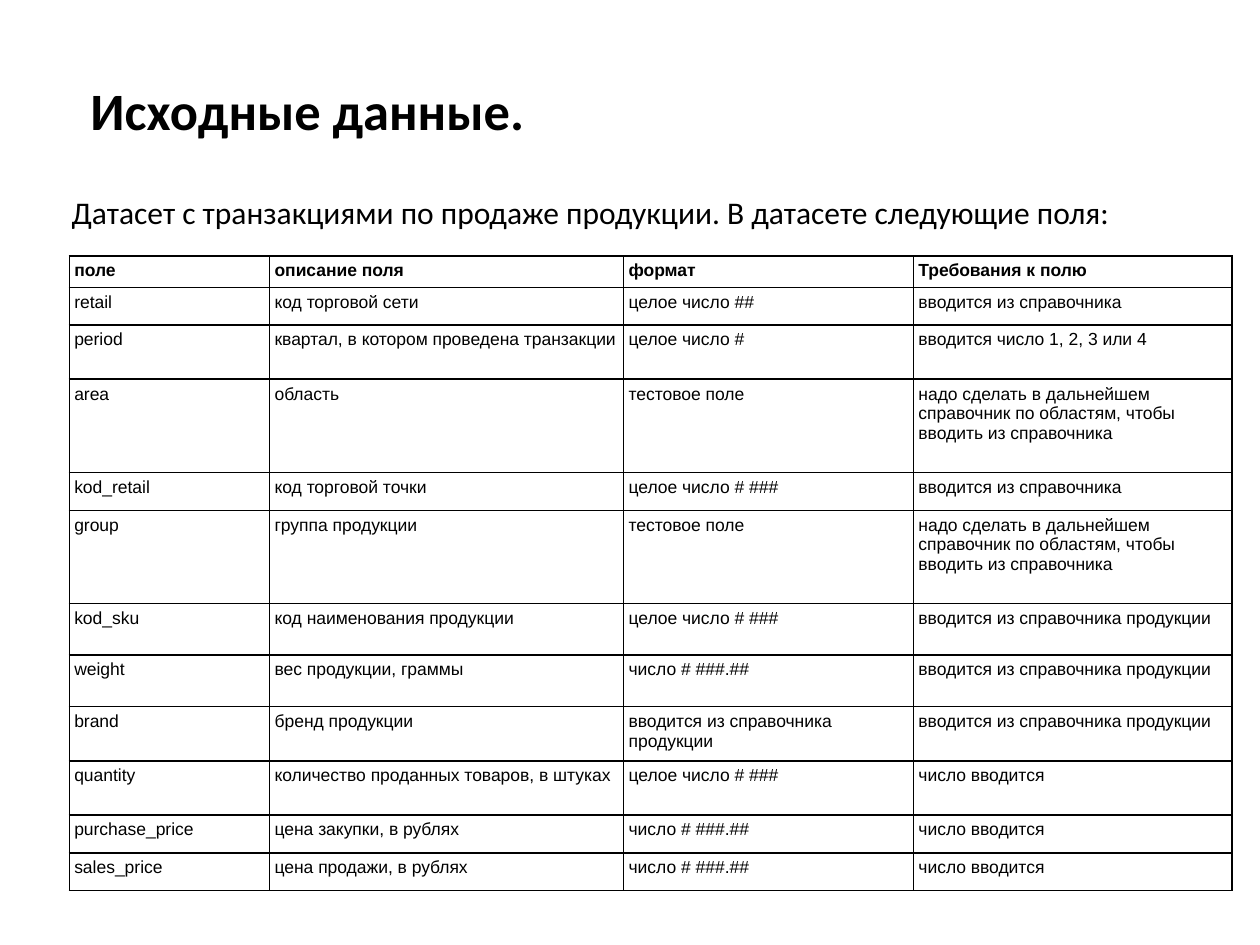
from lxml.etree import SubElement
from pptx import Presentation
from pptx.dml.color import RGBColor
from pptx.enum.text import MSO_ANCHOR
from pptx.oxml.ns import qn
from pptx.util import Inches, Pt

COLORS = {"ink": "000000"}
BY_DIRECTORY = "вводится из справочника"
BY_PRODUCTS = "вводится из справочника продукции"
NEEDS_DIRECTORY = "надо сделать в дальнейшем справочник по областям, чтобы вводить из справочника"
NUMBER_ENTERED = "число вводится"
TEXT_FIELD = "тестовое поле"
INTEGER = "целое число # ###"
DECIMAL = "число # ###.##"

COLUMN_WIDTHS = [1.59, 2.81, 2.3, 2.53]
FIELDS = [
    (0.25, "поле", "описание поля", "формат", "Требования к полю"),
    (0.3, "retail", "код торговой сети", "целое число ##", BY_DIRECTORY),
    (0.43, "period", "квартал, в котором проведена транзакции", "целое число #",
     "вводится число 1, 2, 3 или 4"),
    (0.74, "area", "область", TEXT_FIELD, NEEDS_DIRECTORY),
    (0.3, "kod_retail", "код торговой точки", INTEGER, BY_DIRECTORY),
    (0.74, "group", "группа продукции", TEXT_FIELD, NEEDS_DIRECTORY),
    (0.41, "kod_sku", "код наименования продукции", INTEGER, BY_PRODUCTS),
    (0.41, "weight", "вес продукции, граммы", DECIMAL, BY_PRODUCTS),
    (0.43, "brand", "бренд продукции", BY_PRODUCTS, BY_PRODUCTS),
    (0.43, "quantity", "количество проданных товаров, в штуках", INTEGER, NUMBER_ENTERED),
    (0.3, "purchase_price", "цена закупки, в рублях", DECIMAL, NUMBER_ENTERED),
    (0.3, "sales_price", "цена продажи, в рублях", DECIMAL, NUMBER_ENTERED),
]


def add_run(frame, text, size, font, bold=False):
    run = frame.paragraphs[0].add_run()
    run.text = text
    run.font.size = Pt(size)
    run.font.name = font
    run.font.bold = bold
    run.font.color.rgb = RGBColor.from_string(COLORS["ink"])


def add_text(slide, box, text, size, bold=False):
    frame = slide.shapes.add_textbox(*map(Inches, box)).text_frame
    frame.word_wrap = True
    frame.vertical_anchor = MSO_ANCHOR.MIDDLE
    add_run(frame, text, size, "Calibri", bold)


def set_borders(cell):
    properties = cell._tc.get_or_add_tcPr()
    for side in ("a:lnL", "a:lnR", "a:lnT", "a:lnB"):
        border = SubElement(properties, qn(side), w=str(Pt(1)))
        fill = SubElement(border, qn("a:solidFill"))
        SubElement(fill, qn("a:srgbClr"), val=COLORS["ink"])


def fill_cell(cell, text, bold):
    cell.margin_left = cell.margin_right = Inches(0.04)
    cell.margin_top = cell.margin_bottom = Inches(0.04)
    add_run(cell.text_frame, text, 10, "Arial", bold)
    set_borders(cell)
    cell.fill.background()


def add_field_table(slide, left, top):
    height = sum(field[0] for field in FIELDS)
    table = slide.shapes.add_table(
        len(FIELDS), len(COLUMN_WIDTHS), Inches(left), Inches(top),
        Inches(sum(COLUMN_WIDTHS)), Inches(height)).table
    table.first_row = table.horz_banding = False
    for column, width in zip(table.columns, COLUMN_WIDTHS):
        column.width = Inches(width)
    for index, (row, (row_height, *texts)) in enumerate(zip(table.rows, FIELDS)):
        row.height = Inches(row_height)
        for cell, text in zip(row.cells, texts):
            fill_cell(cell, text, bold=index == 0)


def main():
    """Build the slide that describes the fields of the sales dataset."""
    deck = Presentation()
    deck.slide_width, deck.slide_height = Inches(10), Inches(7.5)
    slide = deck.slides.add_slide(deck.slide_layouts[6])
    add_field_table(slide, 0.55, 2.03)
    add_text(slide, (0.62, 0.55, 8.84, 0.64), "Исходные данные.", 30, bold=True)
    add_text(slide, (0.47, 1.48, 8.91, 0.4),
             "Датасет с транзакциями по продаже продукции. В датасете следующие поля:", 18)
    deck.save("out.pptx")


if __name__ == "__main__":
    main()
